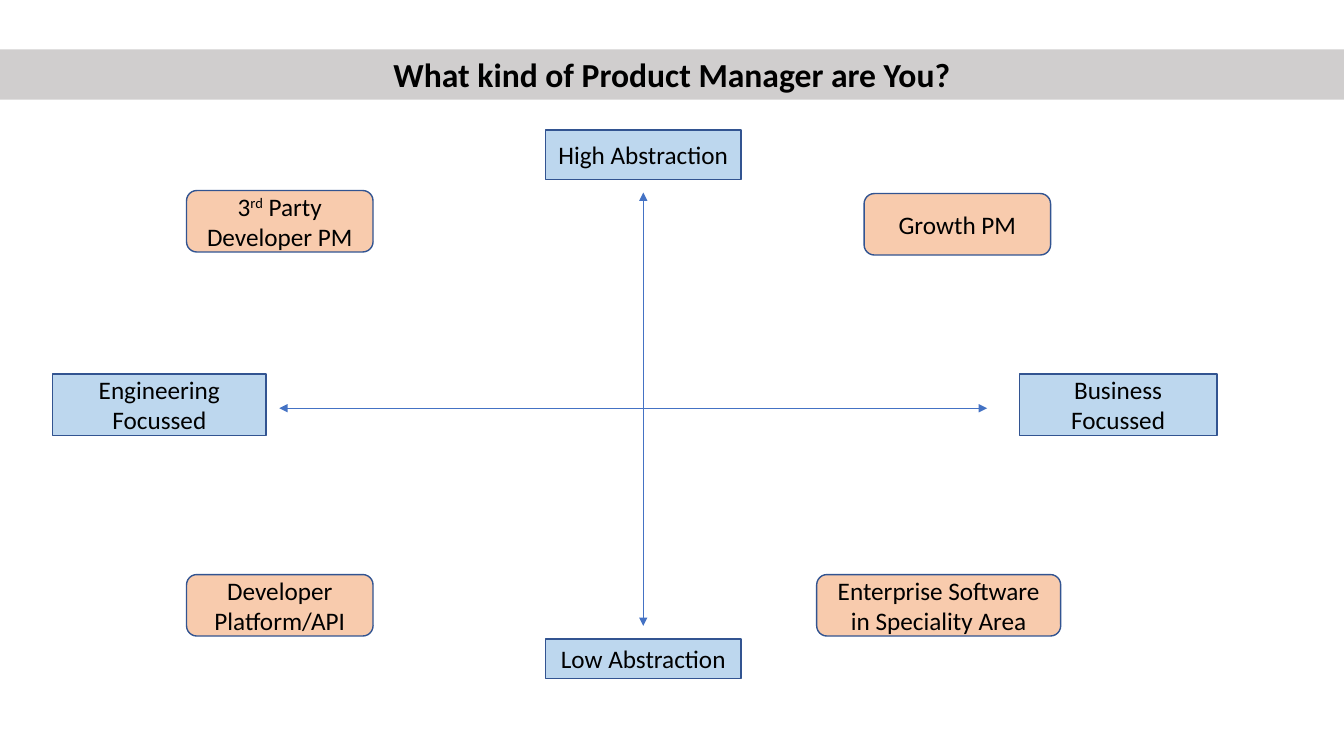
from lxml.etree import SubElement
from pptx import Presentation
from pptx.dml.color import RGBColor
from pptx.enum.shapes import MSO_CONNECTOR, MSO_SHAPE
from pptx.enum.text import MSO_ANCHOR, PP_ALIGN
from pptx.oxml.ns import qn
from pptx.util import Inches, Pt

BLACK = RGBColor(0x00, 0x00, 0x00)
GREY = RGBColor(0xD0, 0xCE, 0xCE)
PALE_BLUE = RGBColor(0xBD, 0xD7, 0xEE)
PEACH = RGBColor(0xF8, 0xCB, 0xAD)
OUTLINE = RGBColor(0x32, 0x54, 0x91)
AXIS_BLUE = RGBColor(0x44, 0x72, 0xC4)
FONT = "Calibri"
SLIDE_WIDTH, SLIDE_HEIGHT = 13.33, 7.5

TITLE = "What kind of Product Manager are You?"
CENTER_X, CENTER_Y = 6.38, 4.05
AXES = [
    (CENTER_X, 1.91, CENTER_X, 6.21),
    (2.77, CENTER_Y, 9.79, CENTER_Y),
]
# Paragraphs are split by newlines; ^ marks the start and end of a superscript.
AXIS_LABELS = [
    ("Engineering\nFocussed", (0.52, 3.71, 2.12, 0.61)),
    ("Business Focussed", (10.11, 3.71, 1.96, 0.61)),
    ("Low Abstraction", (5.41, 6.34, 1.94, 0.39)),
    ("High Abstraction", (5.41, 1.29, 1.94, 0.49)),
]
MANAGER_KINDS = [
    ("Developer Platform/API", (1.85, 5.7, 1.85, 0.61)),
    ("Enterprise Software in Speciality Area", (8.1, 5.7, 2.42, 0.61)),
    ("3^rd^ Party Developer PM", (1.85, 1.89, 1.85, 0.61)),
    ("Growth PM", (8.57, 1.92, 1.85, 0.61)),
]


def add_axis(slide, ends):
    """Draw a thin line with an arrowhead at both ends."""
    axis = slide.shapes.add_connector(MSO_CONNECTOR.STRAIGHT, *map(Inches, ends))
    axis.line.color.rgb = AXIS_BLUE
    axis.line.width = Pt(0.5)
    line = axis.line._get_or_add_ln()
    for end in ("a:headEnd", "a:tailEnd"):
        SubElement(line, qn(end), type="triangle")
    SubElement(axis._element.spPr, qn("a:effectLst"))


def write_text(shape, text, size=18, bold=False, anchor=MSO_ANCHOR.MIDDLE):
    """Write centred paragraphs into a shape, raising the marked superscripts."""
    frame = shape.text_frame
    frame.word_wrap = True
    frame.vertical_anchor = anchor
    for index, line in enumerate(text.split("\n")):
        paragraph = frame.add_paragraph() if index else frame.paragraphs[0]
        paragraph.alignment = PP_ALIGN.CENTER
        for part_index, part in enumerate(line.split("^")):
            run = paragraph.add_run()
            run.text = part
            run.font.name = FONT
            run.font.size = Pt(size)
            run.font.bold = bold
            run.font.color.rgb = BLACK
            if part_index % 2:
                run.font._element.set("baseline", "30000")


def add_box(slide, text, box, fill, kind=MSO_SHAPE.RECTANGLE, outlined=True, **text_format):
    """Add a filled box with text and, if asked, an outline."""
    shape = slide.shapes.add_shape(kind, *map(Inches, box))
    shape.shadow.inherit = False
    shape.fill.solid()
    shape.fill.fore_color.rgb = fill
    if outlined:
        shape.line.color.rgb = OUTLINE
        shape.line.width = Pt(1)
    else:
        shape.line.fill.background()
    write_text(shape, text, **text_format)


presentation = Presentation()
presentation.slide_width = Inches(SLIDE_WIDTH)
presentation.slide_height = Inches(SLIDE_HEIGHT)
slide = presentation.slides.add_slide(presentation.slide_layouts[6])

for ends in AXES:
    add_axis(slide, ends)
for label, box in AXIS_LABELS:
    add_box(slide, label, box, PALE_BLUE)
for name, box in MANAGER_KINDS:
    add_box(slide, name, box, PEACH, kind=MSO_SHAPE.ROUNDED_RECTANGLE)
add_box(slide, TITLE, (0, 0.49, SLIDE_WIDTH, 0.5), GREY, outlined=False,
        size=24, bold=True, anchor=MSO_ANCHOR.TOP)

presentation.save("out.pptx")
